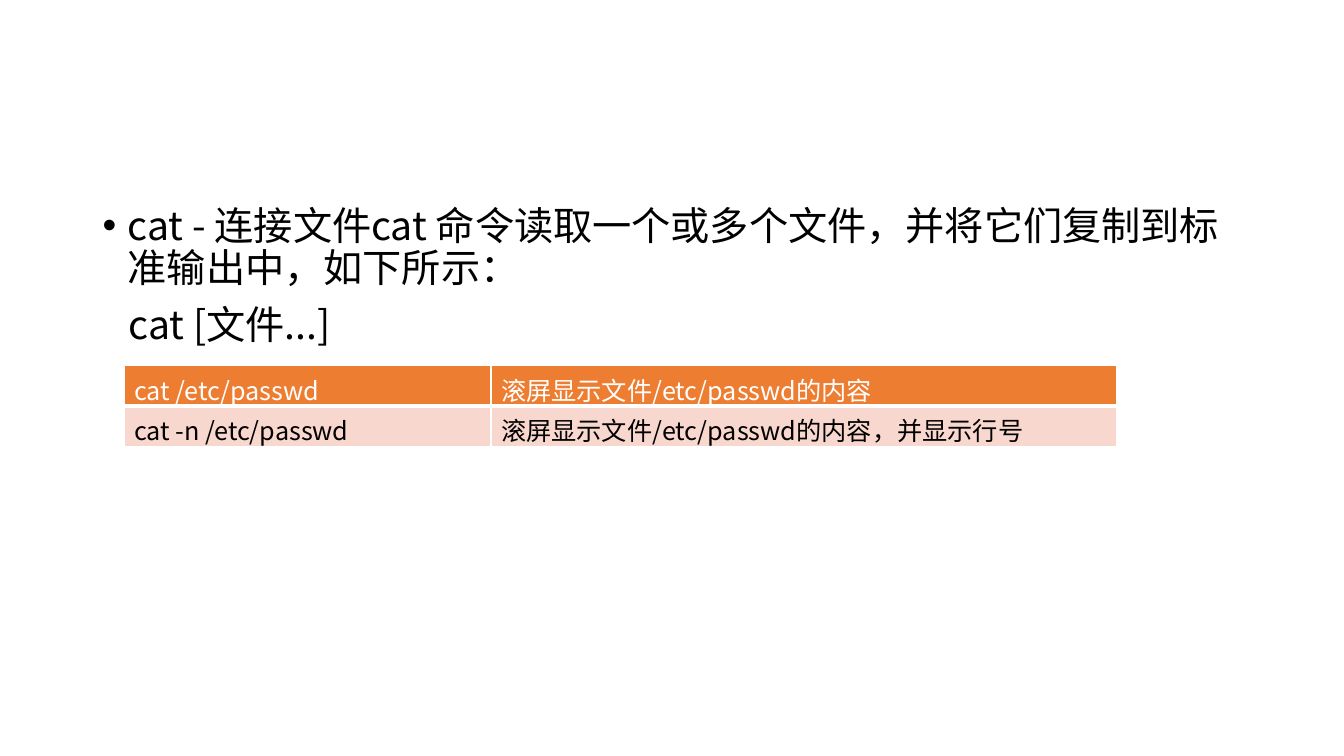
"""Build a slide that explains the cat command with a small usage table."""
from dataclasses import dataclass

from lxml import etree
from pptx import Presentation
from pptx.dml.color import RGBColor
from pptx.oxml.ns import qn
from pptx.util import Inches, Pt

FONT = "Noto Sans CJK SC"
WHITE, BLACK = "FFFFFF", "000000"


@dataclass
class Line:
    text: str
    left: float
    hang: float = 0
    bullet: str = ""
    before: float = 0


@dataclass
class Row:
    cells: tuple[str, ...]
    fill: str
    color: str
    base: float


LINES = [
    Line("cat - 连接文件cat 命令读取一个或多个文件，并将它们复制到标准输出中，如下所示：",
         0.25, -0.25, "•"),
    Line("cat [文件...]", 0.26, before=10),
]
ROWS = [
    Row(("cat /etc/passwd", "滚屏显示文件/etc/passwd的内容"), "ED7D31", WHITE, 3),
    Row(("cat -n /etc/passwd", "滚屏显示文件/etc/passwd的内容，并显示行号"),
        "F8D7CE", BLACK, 1),
]
COLS = (3.64, 6.2)
HIGH = 0.37


def rgb(code: str) -> RGBColor:
    return RGBColor.from_string(code)


def style(para, size: float, color: str) -> None:
    font = para.font
    font.name, font.size = FONT, Pt(size)
    font.color.rgb = rgb(color)
    latin = para._p.pPr.find(qn("a:defRPr")).find(qn("a:latin"))
    east = etree.Element(qn("a:ea"), typeface=FONT)
    latin.addnext(east)


def write(para, line: Line) -> None:
    para.text = line.text
    para.line_spacing = 0.9
    para.space_before = Pt(line.before)
    props = para._p.get_or_add_pPr()
    props.set("marL", str(Inches(line.left)))
    props.set("indent", str(Inches(line.hang)))
    if line.bullet:
        etree.SubElement(props, qn("a:buFont"), typeface="Arial")
        etree.SubElement(props, qn("a:buChar"), char=line.bullet)
    style(para, 28, BLACK)


def edge(cell, base: float) -> None:
    props = cell._tc.get_or_add_tcPr()
    sides = {"lnL": 1, "lnR": 1, "lnT": 1, "lnB": base}
    for spot, (side, width) in enumerate(sides.items()):
        rule = etree.Element(qn(f"a:{side}"), w=str(Pt(width)))
        fill = etree.SubElement(rule, qn("a:solidFill"))
        etree.SubElement(fill, qn("a:srgbClr"), val=WHITE)
        props.insert(spot, rule)


def add_body(slide) -> None:
    box = slide.shapes.add_textbox(Inches(0.92), Inches(2), Inches(11.5), Inches(4.76))
    frame = box.text_frame
    frame.word_wrap = True
    for spot, line in enumerate(LINES):
        write(frame.add_paragraph() if spot else frame.paragraphs[0], line)


def add_grid(slide) -> None:
    grid = slide.shapes.add_table(
        len(ROWS), len(COLS), Inches(1.23), Inches(3.63),
        Inches(sum(COLS)), Inches(HIGH * len(ROWS))).table
    for col, width in zip(grid.columns, COLS):
        col.width = Inches(width)
    for row, data in zip(grid.rows, ROWS):
        row.height = Inches(HIGH)
        for cell, text in zip(row.cells, data.cells):
            cell.text = text
            cell.fill.solid()
            cell.fill.fore_color.rgb = rgb(data.fill)
            edge(cell, data.base)
            para = cell.text_frame.paragraphs[0]
            style(para, 18, data.color)
            para.font.bold = False


def main() -> None:
    deck = Presentation()
    deck.slide_width, deck.slide_height = Inches(13.33), Inches(7.5)
    slide = deck.slides.add_slide(deck.slide_layouts[6])
    add_body(slide)
    add_grid(slide)
    deck.save("out.pptx")


if __name__ == "__main__":
    main()
